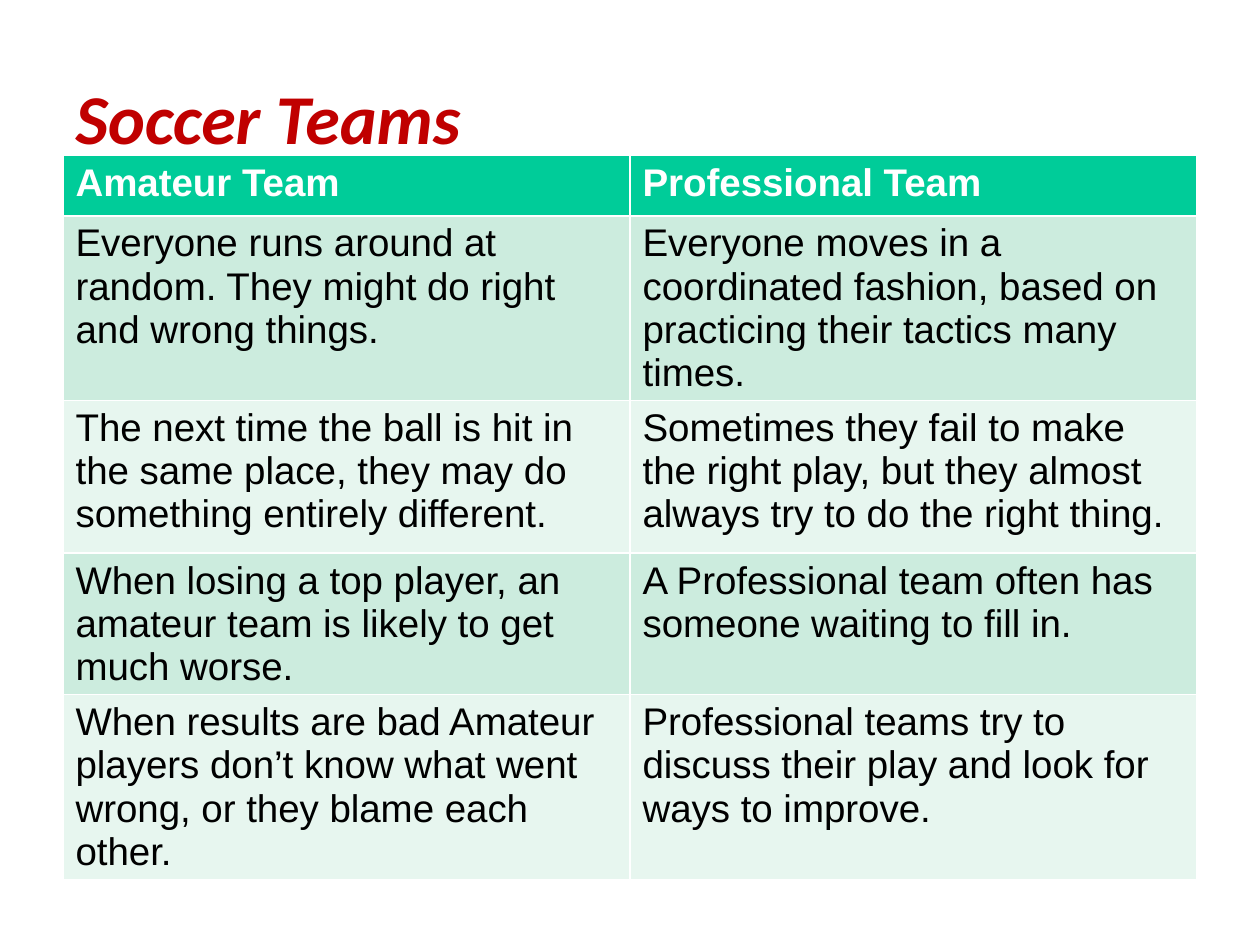
"""Build a slide comparing amateur and professional soccer teams in a table."""
from pptx import Presentation
from pptx.dml.color import RGBColor
from pptx.enum.text import MSO_ANCHOR, PP_ALIGN
from pptx.util import Pt

COLORS = {
    "title": "C00000",
    "header": "00CC99",
    "header_text": "FFFFFF",
    "text": "000000",
    "odd": "CCECDE",
    "even": "E7F6EF",
}
ROWS = [
    ("Amateur Team", "Professional Team"),
    ("Everyone runs around at random. They might do right and wrong things.",
     "Everyone moves in a coordinated fashion, based on practicing their tactics many times."),
    ("The next time the ball is hit in the same place, they may do something entirely different.",
     "Sometimes they fail to make the right play, but they almost always try to do the right thing."),
    ("When losing a top player, an amateur team is likely to get much worse.",
     "A Professional team often has someone waiting to fill in."),
    ("When results are bad Amateur players don’t know what went wrong, or they blame each other.",
     "Professional teams try to discuss their play and look for ways to improve."),
]
HEIGHTS = [34.5, 87, 87, 61, 87]


def add_text(p, text, color, **fmt):
    r = p.add_run()
    r.text = text
    for name, value in fmt.items():
        setattr(r.font, name, value)
    r.font.color.rgb = RGBColor.from_string(COLORS[color])


prs = Presentation()
prs.slide_width, prs.slide_height = Pt(720), Pt(540)
s = prs.slides.add_slide(prs.slide_layouts[5])

title = s.shapes.title
title.left, title.top, title.width, title.height = Pt(36), Pt(21.6), Pt(648), Pt(90)
tf = title.text_frame
tf.vertical_anchor = MSO_ANCHOR.MIDDLE
p = tf.paragraphs[0]
p.alignment = PP_ALIGN.LEFT
add_text(p, "Soccer Teams", "title", name="Calibri", size=Pt(40), bold=True, italic=True)

table = s.shapes.add_table(len(ROWS), 2, Pt(36), Pt(88.8), Pt(648), Pt(sum(HEIGHTS))).table
for i, (row, height) in enumerate(zip(ROWS, HEIGHTS)):
    table.rows[i].height = Pt(height)
    header = i == 0
    fill = "header" if header else "odd" if i % 2 else "even"
    for j, text in enumerate(row):
        cell = table.cell(i, j)
        cell.fill.solid()
        cell.fill.fore_color.rgb = RGBColor.from_string(COLORS[fill])
        add_text(cell.text_frame.paragraphs[0], text, "header_text" if header else "text",
                 name="Arial", size=Pt(22), bold=header, italic=False)

prs.save("out.pptx")
